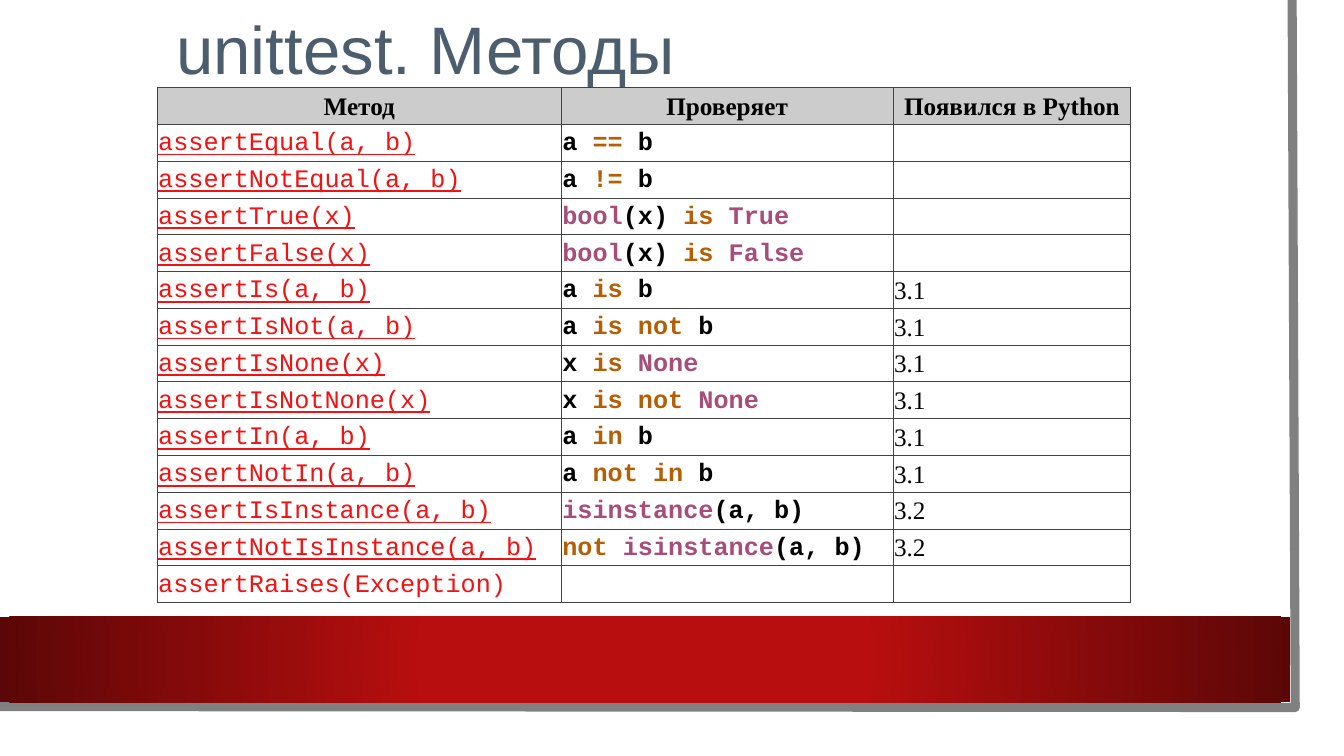
import pptx
import pptx.util
import pptx.dml.color
import pptx.enum.shapes
import pptx.enum.text
import pptx.oxml
import pptx.oxml.ns

TITLE = "unittest. Методы"
HEADS = ["Метод", "Проверяет", "Появился в Python"]
ROWS = [
    ("assertEqual(a, b)", "a |==| b", ""),
    ("assertNotEqual(a, b)", "a |!=| b", ""),
    ("assertTrue(x)", "bool|(x) |is |True", ""),
    ("assertFalse(x)", "bool|(x) |is |False", ""),
    ("assertIs(a, b)", "a |is| b", "3.1"),
    ("assertIsNot(a, b)", "a |is not| b", "3.1"),
    ("assertIsNone(x)", "x |is |None", "3.1"),
    ("assertIsNotNone(x)", "x |is not |None", "3.1"),
    ("assertIn(a, b)", "a |in| b", "3.1"),
    ("assertNotIn(a, b)", "a |not in| b", "3.1"),
    ("assertIsInstance(a, b)", "isinstance|(a, b)", "3.2"),
    ("assertNotIsInstance(a, b)", "not |isinstance|(a, b)", "3.2"),
    ("assertRaises(Exception)", "", ""),
]
WORDS = {"==", "!=", "is", "is not", "in", "not in", "not"}
NAMES = {"bool", "isinstance", "True", "False", "None"}
THEME = {
    "white": "FFFFFF", "edge": "808080", "red": "B80E0F", "dark": "5C0707",
    "title": "4C5D6E", "head": "CCCCCC", "grid": "434343", "ink": "000000",
    "link": "F21213", "word": "B45F06", "name": "A64D79",
    "big": 48, "body": 18,
    "sans": "Arial", "mono": "Courier New", "serif": "Times New Roman",
}
WIDE, HIGH = 960, 540
BAND = (0, 440.6, 921.6, 61.2)
EDGE = [(923, 0), (925.2, 505.4), (-2, 504.7)]
LEFT, TOP, ROW = 112.3, 62.6, 24.8
COLS = [288.7, 236.9, 169.9]
PAD = 0.72
Pt = pptx.util.Pt


def tint(key):
    return pptx.dml.color.RGBColor.from_string(THEME[key])


def say(frame, text, font="serif", size="body", color="ink", bold=False,
        line=False, mid=False, space=1.15):
    para = frame.paragraphs[0]
    para.line_spacing = space
    if mid:
        para.alignment = pptx.enum.text.PP_ALIGN.CENTER
    for part in filter(None, text.split("|")):
        run = para.add_run()
        run.text = part
        key = part.strip()
        hue = "word" if key in WORDS else "name" if key in NAMES else color
        run.font.name = THEME[font]
        run.font.size = Pt(THEME[size])
        run.font.bold = bold
        run.font.underline = line
        run.font.color.rgb = tint(hue)


def block(slide, box):
    shape = slide.shapes.add_shape(
        pptx.enum.shapes.MSO_SHAPE.RECTANGLE, *map(Pt, box))
    shape.shadow.inherit = False
    shape.line.fill.background()
    return shape


def frame_cell(cell):
    props = cell._tc.get_or_add_tcPr()
    for spot, side in enumerate("LRTB"):
        props.insert(spot, pptx.oxml.parse_xml(
            f'<a:ln{side} {pptx.oxml.ns.nsdecls("a")} w="{Pt(0.75)}">'
            f'<a:solidFill><a:srgbClr val="{THEME["grid"]}"/></a:solidFill>'
            f'</a:ln{side}>'))


def draw_back(slide):
    page = block(slide, (0, 0, 943.2, 523.4))
    page.fill.solid()
    page.fill.fore_color.rgb = tint("white")

    pen = slide.shapes.build_freeform(*map(Pt, EDGE[0]))
    pen.add_line_segments([(Pt(x), Pt(y)) for x, y in EDGE[1:]], close=False)
    edge = pen.convert_to_shape()
    edge.shadow.inherit = False
    edge.fill.background()
    edge.line.color.rgb = tint("edge")
    edge.line.width = Pt(6.5)

    band = block(slide, BAND)
    band.fill.gradient()
    for stop, key, place in zip(band.fill.gradient_stops,
                                ("red", "dark"), (0.34, 1)):
        stop.color.rgb = tint(key)
        stop.position = place
    ramp = band._element.spPr.find(pptx.oxml.ns.qn("a:gradFill"))
    ramp.replace(ramp.find(pptx.oxml.ns.qn("a:lin")), pptx.oxml.parse_xml(
        f'<a:path {pptx.oxml.ns.nsdecls("a")} path="circle">'
        '<a:fillToRect l="50000" t="50000" r="50000" b="50000"/></a:path>'))


def draw_title(slide):
    box = slide.shapes.add_textbox(Pt(118.8), Pt(5.8), Pt(769), Pt(64))
    box.text_frame.word_wrap = True
    box.text_frame.vertical_anchor = pptx.enum.text.MSO_ANCHOR.MIDDLE
    say(box.text_frame, TITLE, font="sans", size="big", color="title",
        space=0.9)


def draw_table(slide):
    count = len(ROWS) + 1
    grid = slide.shapes.add_table(
        count, len(COLS), Pt(LEFT), Pt(TOP), Pt(sum(COLS)),
        Pt(ROW * count)).table
    grid.first_row = grid.horz_banding = False
    for col, wide in zip(grid.columns, COLS):
        col.width = Pt(wide)
    for row in grid.rows:
        row.height = Pt(ROW)
    for down, texts in enumerate([HEADS] + ROWS):
        looks = [
            {"font": "mono", "color": "link", "line": down < len(ROWS)},
            {"font": "mono", "bold": True},
            {},
        ]
        for over, text in enumerate(texts):
            cell = grid.cell(down, over)
            cell.margin_left = cell.margin_right = Pt(PAD)
            cell.margin_top = cell.margin_bottom = Pt(PAD)
            if down == 0:
                cell.fill.solid()
                cell.fill.fore_color.rgb = tint("head")
                say(cell.text_frame, text, bold=True, mid=True)
            else:
                cell.fill.background()
                say(cell.text_frame, text, **looks[over])
            frame_cell(cell)


def main():
    deck = pptx.Presentation()
    deck.slide_width, deck.slide_height = Pt(WIDE), Pt(HIGH)
    slide = deck.slides.add_slide(deck.slide_layouts[6])
    draw_back(slide)
    draw_title(slide)
    draw_table(slide)
    deck.save("out.pptx")


if __name__ == "__main__":
    main()
